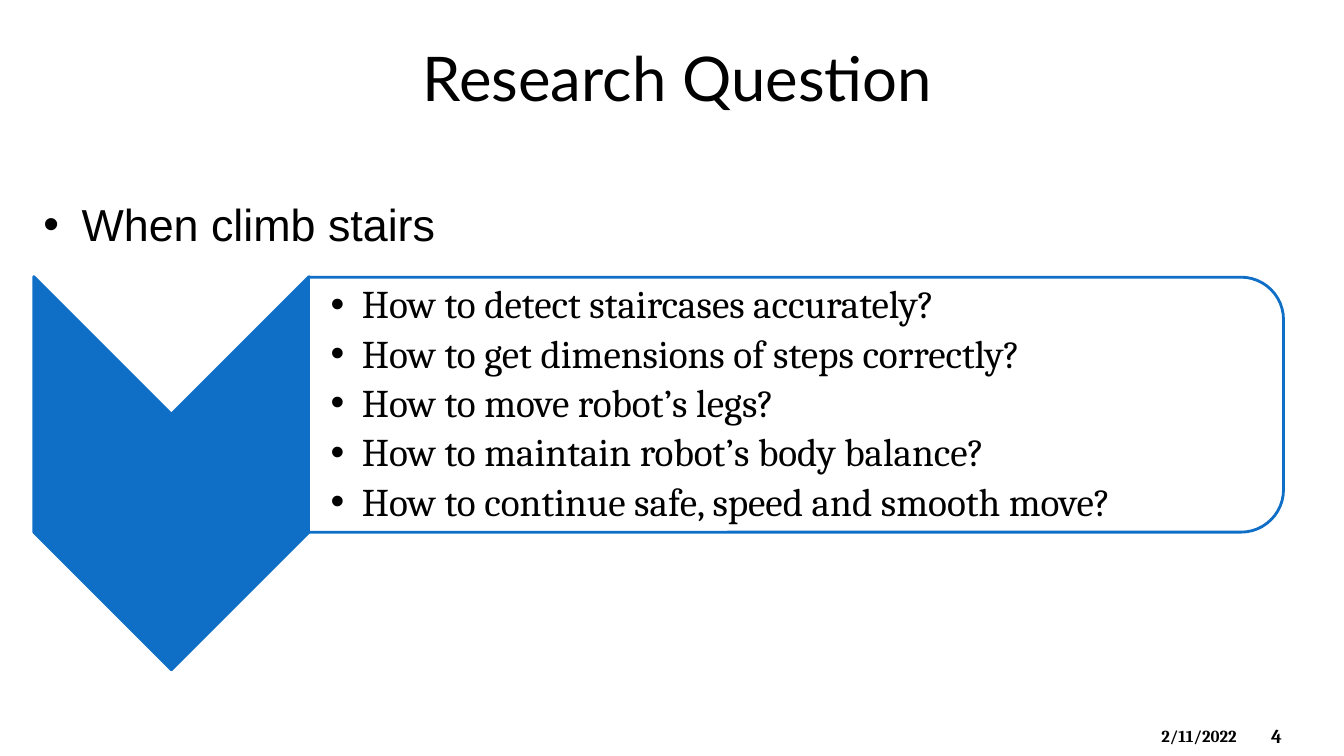
from dataclasses import dataclass

from lxml import etree
from pptx import Presentation
from pptx.dml.color import RGBColor as Rgb
from pptx.enum.shapes import MSO_SHAPE as Kind
from pptx.enum.text import MSO_ANCHOR as Anchor, MSO_AUTO_SIZE as Fit, PP_ALIGN as Align
from pptx.oxml.ns import qn
from pptx.util import Inches, Pt


@dataclass(frozen=True)
class Theme:
    ink: Rgb = Rgb(0x00, 0x00, 0x00)
    blue: Rgb = Rgb(0x0F, 0x6F, 0xC6)
    white: Rgb = Rgb(0xFF, 0xFF, 0xFF)
    head: str = "Lato"
    body: str = "Arial"
    serif: str = "Cambria"
    title: int = 44
    lead: int = 32
    item: int = 28
    page: int = 14
    date: int = 12


def apply(obj, **vals):
    for key, val in vals.items():
        setattr(obj, key, val)


class Deck:
    def __init__(self, theme):
        self.theme = theme
        self.prs = Presentation()
        apply(self.prs, slide_width=Inches(13.33), slide_height=Inches(7.5))
        self.slide = self.prs.slides.add_slide(self.prs.slide_layouts[1])

    def place(self, shape, box):
        names = ("left", "top", "width", "height")
        apply(shape, **dict(zip(names, map(Inches, box))))

    def fill_text(self, shape, lines, name, size, anchor=Anchor.TOP,
                  indent=None, bold=False, **para):
        frame = shape.text_frame
        apply(frame, text="\n".join(lines), word_wrap=True,
              auto_size=Fit.NONE, vertical_anchor=anchor)
        for line in frame.paragraphs:
            apply(line, space_before=Pt(0), **para)
            if indent:
                self.bullet(line, indent)
            apply(line.font, name=name, size=Pt(size), bold=bold)
            line.font.color.rgb = self.theme.ink

    def bullet(self, line, indent):
        props = line._p.get_or_add_pPr()
        props.set("marL", str(Inches(indent)))
        props.set("indent", str(-Inches(indent)))
        etree.SubElement(props, qn("a:buFont"), typeface="Arial")
        etree.SubElement(props, qn("a:buChar"), char="•")

    def holder(self, index, box, lines, name, size, **style):
        shape = self.slide.placeholders[index]
        self.place(shape, box)
        self.fill_text(shape, lines, name, size, **style)

    def text(self, box, lines, size, inset=None, **style):
        shape = self.slide.shapes.add_textbox(*map(Inches, box))
        self.fill_text(shape, lines, self.theme.serif, size, **style)
        if inset:
            sides = ("left", "top", "right", "bottom")
            apply(shape.text_frame,
                  **{f"margin_{s}": Inches(v) for s, v in zip(sides, inset)})

    def turned(self, kind, box, fill):
        shape = self.slide.shapes.add_shape(kind, *map(Inches, box))
        shape.rotation = 90
        shape.shadow.inherit = False
        shape.fill.solid()
        shape.fill.fore_color.rgb = fill
        shape.line.color.rgb = self.theme.blue
        shape.line.width = Pt(2)


def main():
    theme = Theme()
    deck = Deck(theme)

    # Title and lead line
    deck.holder(0, (0.33, 0.33, 12.78, 0.87), ["Research Question"],
                theme.head, theme.title, anchor=Anchor.MIDDLE, alignment=Align.CENTER)
    deck.holder(1, (0.33, 1.9, 12.78, 0.7), ["When climb stairs"],
                theme.body, theme.lead, indent=0.38, alignment=Align.JUSTIFY)

    # Chevron and question panel
    deck.turned(Kind.CHEVRON, (-0.25, 3.33, 3.9, 2.73), theme.blue)
    deck.turned(Kind.ROUND_2_SAME_RECTANGLE, (6.63, -0.82, 2.53, 9.67), theme.white)
    asks = ["How to detect staircases accurately?",
            "How to get dimensions of steps correctly?",
            "How to move robot’s legs?",
            "How to maintain robot’s body balance?",
            "How to continue safe, speed and smooth move?"]
    deck.text((3.06, 2.87, 9.54, 2.29), asks, theme.item,
              inset=(0.22, 0.02, 0.02, 0.02), anchor=Anchor.MIDDLE,
              indent=0.31, line_spacing=0.9, space_after=Pt(5))

    # Date and slide number
    deck.text((11.42, 7.15, 1, 0.3), ["2/11/2022"], theme.date, bold=True)
    deck.text((12.51, 7.1, 0.74, 0.4), ["4"], theme.page,
              anchor=Anchor.MIDDLE, bold=True)

    deck.prs.save("out.pptx")


if __name__ == "__main__":
    main()
